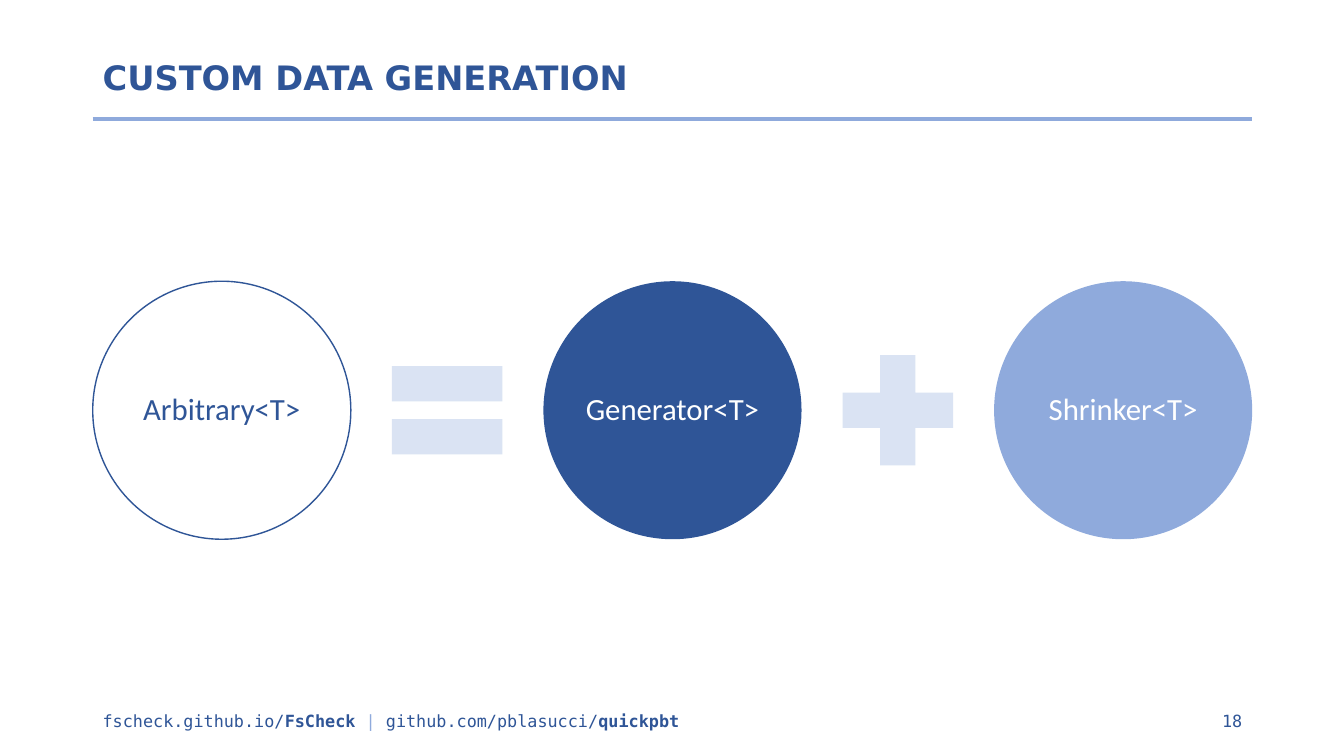
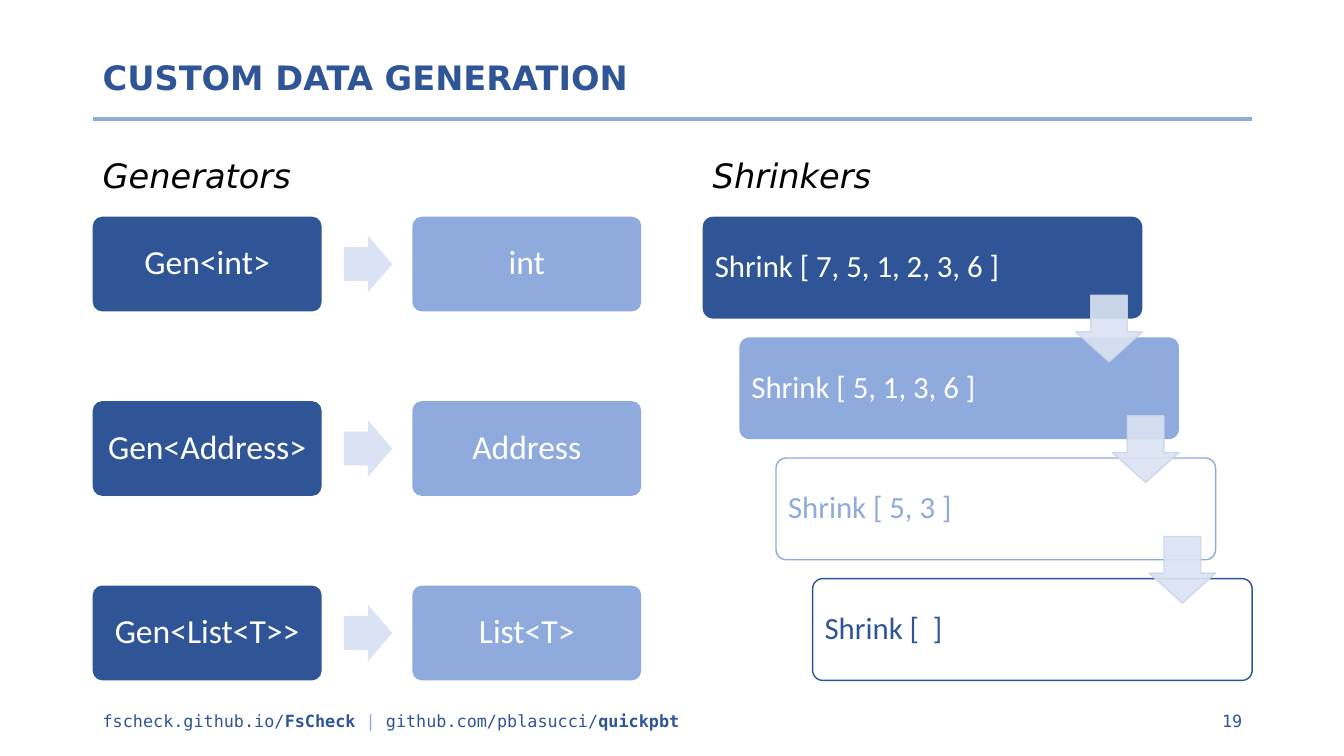
import pptx
import pptx.dml.color
import pptx.enum.shapes
import pptx.enum.text
import pptx.oxml.ns
import pptx.util
from lxml import etree

Inches = pptx.util.Inches
RGBColor = pptx.dml.color.RGBColor
SHAPE = pptx.enum.shapes.MSO_SHAPE
ALIGN = pptx.enum.text.PP_ALIGN
qn = pptx.oxml.ns.qn

DARK = RGBColor(0x2F, 0x55, 0x97)
MEDIUM = RGBColor(0x8F, 0xAA, 0xDC)
PALE = RGBColor(0xDA, 0xE3, 0xF3)
PALE_EDGE = RGBColor(0xCF, 0xD5, 0xEA)
WHITE = RGBColor(0xFF, 0xFF, 0xFF)
BLACK = RGBColor(0x00, 0x00, 0x00)

LEFT, RIGHT = 0.92, 12.42
CONTENT_TOP, CONTENT_BOTTOM = 2.15, 6.75
RIGHT_COLUMN = 6.97
CORNER = 0.1

TITLE = {"name": "DejaVu Sans", "size": pptx.util.Pt(24), "bold": True}
HEADING = {"name": "DejaVu Sans", "size": pptx.util.Pt(24), "italic": True}
FOOTER = {"name": "DejaVu Sans Mono", "size": pptx.util.Pt(12)}
BODY = {"name": "Calibri", "size": pptx.util.Pt(22)}
LARGE_BODY = {"name": "Calibri", "size": pptx.util.Pt(24)}


def add_block(slide, kind, box, fill, line=None, adjustments=()):
    shape = slide.shapes.add_shape(kind, *map(Inches, box))
    shape.shadow.inherit = False
    shape.fill.solid()
    shape.fill.fore_color.rgb = fill
    if line is None:
        shape.line.fill.background()
    else:
        shape.line.color.rgb = line
        shape.line.width = pptx.util.Pt(1)
    for index, value in enumerate(adjustments):
        shape.adjustments[index] = value
    return shape


def write_text(shape, runs, font, align=ALIGN.LEFT, margin=0.1, spacing=0.9):
    frame = shape.text_frame
    frame.word_wrap = True
    frame.vertical_anchor = pptx.enum.text.MSO_ANCHOR.MIDDLE
    for side in ("left", "right", "top", "bottom"):
        setattr(frame, f"margin_{side}", Inches(margin))
    paragraph = frame.paragraphs[0]
    paragraph.alignment = align
    paragraph.line_spacing = spacing
    for text, color, extra in runs:
        run = paragraph.add_run()
        run.text = text
        for name, value in {**font, **extra}.items():
            setattr(run.font, name, value)
        run.font.color.rgb = color


presentation = pptx.Presentation()
presentation.slide_width = Inches(13.33)
presentation.slide_height = Inches(7.5)

footer_runs = [
    ("fscheck.github.io/", DARK, {}),
    ("FsCheck ", DARK, {"bold": True}),
    ("| ", MEDIUM, {}),
    ("github.com/pblasucci/", DARK, {}),
    ("quickpbt", DARK, {"bold": True}),
]

slides = []
for number in (18, 19):
    slide = presentation.slides.add_slide(presentation.slide_layouts[6])
    slides.append(slide)
    for box, runs, font, align, spacing in (
        ((LEFT, 0.4, 11.5, 0.78), [("CUSTOM DATA GENERATION", DARK, {})], TITLE, ALIGN.LEFT, 0.9),
        ((LEFT, 6.95, 8, 0.4), footer_runs, FOOTER, ALIGN.LEFT, 1.0),
        ((9.42, 6.95, 3, 0.4), [(str(number), DARK, {})], FOOTER, ALIGN.RIGHT, 1.0),
    ):
        text_box = slide.shapes.add_textbox(*map(Inches, box))
        write_text(text_box, runs, font, align, spacing=spacing)
    rule = slide.shapes.add_connector(
        pptx.enum.shapes.MSO_CONNECTOR.STRAIGHT,
        Inches(LEFT), Inches(1.18), Inches(RIGHT), Inches(1.18))
    rule.line.color.rgb = MEDIUM
    rule.line.width = pptx.util.Pt(2.25)
    etree.SubElement(rule._element.spPr, qn("a:effectLst"))

equation_slide, examples_slide = slides

circle_size, operator_size, middle = 2.56, 1.49, 4.07
circle_step = (RIGHT - LEFT - circle_size) / 2
circles = (
    ("Arbitrary<T>", WHITE, DARK, DARK),
    ("Generator<T>", DARK, None, WHITE),
    ("Shrinker<T>", MEDIUM, None, WHITE),
)
for index, (label, fill, line, color) in enumerate(circles):
    box = (LEFT + index * circle_step, middle - circle_size / 2, circle_size, circle_size)
    circle = add_block(equation_slide, SHAPE.OVAL, box, fill, line)
    write_text(circle, [(label, color, {})], BODY, ALIGN.CENTER, 0.03)

operator_offset = (circle_step + circle_size - operator_size) / 2
for index, kind in enumerate((SHAPE.MATH_EQUAL, SHAPE.MATH_PLUS)):
    left = LEFT + index * circle_step + operator_offset
    add_block(equation_slide, kind,
              (left, middle - operator_size / 2, operator_size, operator_size), PALE)

for left, heading in ((LEFT, "Generators"), (RIGHT_COLUMN, "Shrinkers")):
    text_box = examples_slide.shapes.add_textbox(*map(Inches, (left, 1.37, 5.45, 0.78)))
    write_text(text_box, [(heading, BLACK, {})], HEADING)

box_width, box_height = 2.27, 0.94
arrow_width, arrow_height = 0.48, 0.56
row_step = (CONTENT_BOTTOM - CONTENT_TOP - box_height) / 2
generators = (("Gen<int>", "int"), ("Gen<Address>", "Address"), ("Gen<List<T>>", "List<T>"))
for row, labels in enumerate(generators):
    top = CONTENT_TOP + row * row_step
    for label, left, fill in zip(labels, (LEFT, 4.09), (DARK, MEDIUM)):
        block = add_block(examples_slide, SHAPE.ROUNDED_RECTANGLE,
                          (left, top, box_width, box_height), fill,
                          adjustments=(CORNER,))
        write_text(block, [(label, WHITE, {})], LARGE_BODY, ALIGN.CENTER, 0.08)
    add_block(examples_slide, SHAPE.RIGHT_ARROW,
              (3.41, top + (box_height - arrow_height) / 2, arrow_width, arrow_height),
              PALE, adjustments=(0.6, 0.5))

stair_width, stair_height, stair_arrow = 4.36, 1.01, 0.66
stair_step_x = (RIGHT - RIGHT_COLUMN - stair_width) / 3
stair_step_y = (CONTENT_BOTTOM - CONTENT_TOP - stair_height) / 3
shrinkers = (
    ("Shrink [ 7, 5, 1, 2, 3, 6 ]", DARK, None, WHITE),
    ("Shrink [ 5, 1, 3, 6 ]", MEDIUM, None, WHITE),
    ("Shrink [ 5, 3 ]", WHITE, MEDIUM, MEDIUM),
    ("Shrink [  ]", WHITE, DARK, DARK),
)
for index, (label, fill, line, color) in enumerate(shrinkers):
    left = RIGHT_COLUMN + index * stair_step_x
    top = CONTENT_TOP + index * stair_step_y
    stair = add_block(examples_slide, SHAPE.ROUNDED_RECTANGLE,
                      (left, top, stair_width, stair_height), fill, line, (CORNER,))
    write_text(stair, [(label, color, {})], BODY, margin=0.09)
    if index:
        arrow_left = left - stair_step_x + stair_width - stair_arrow
        arrow_top = top - stair_step_y + 0.78
        arrow = add_block(examples_slide, SHAPE.DOWN_ARROW,
                          (arrow_left, arrow_top, stair_arrow, stair_arrow),
                          PALE, PALE_EDGE, (0.55, 0.45))
        for color_element in arrow._element.spPr.iter(qn("a:srgbClr")):
            etree.SubElement(color_element, qn("a:alpha"), val="90000")

presentation.save("out.pptx")
